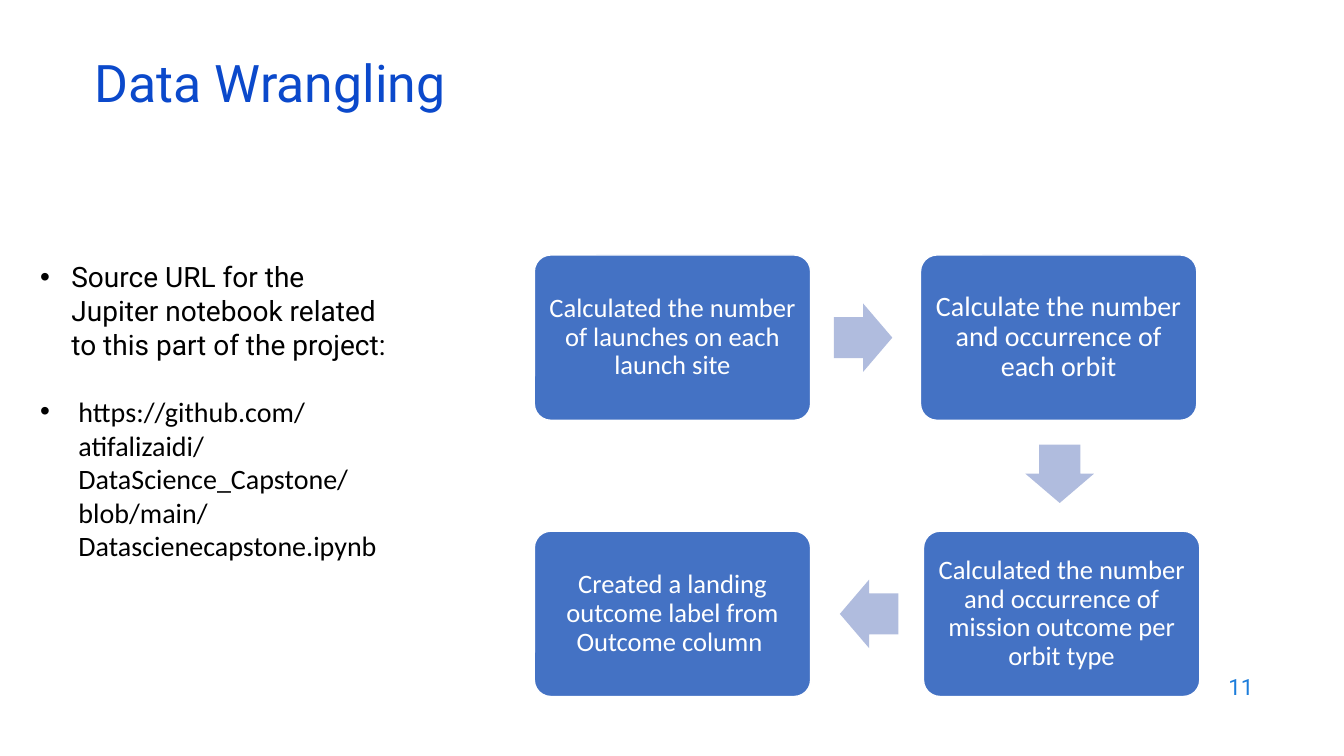
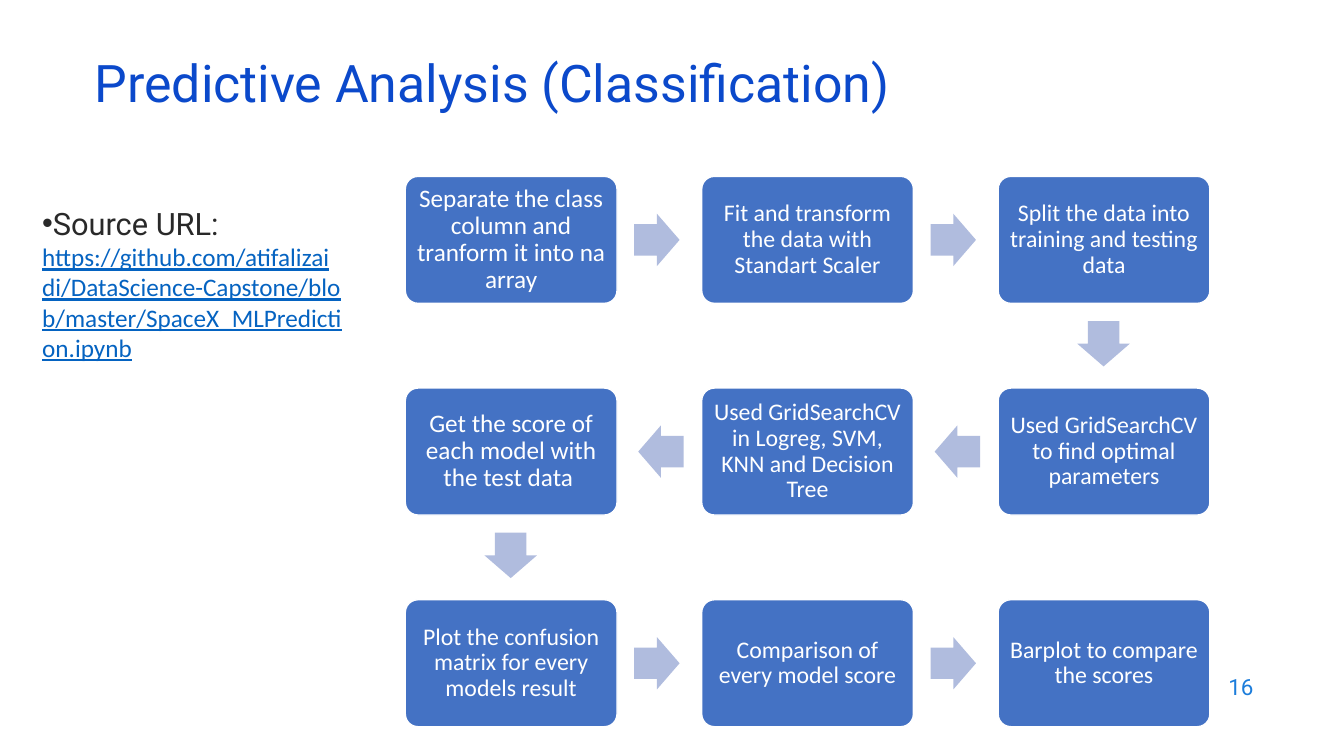
"""Build two process-flow slides that share a title style and a page number."""
from dataclasses import dataclass
from typing import NamedTuple

from lxml.etree import SubElement
from pptx import Presentation
from pptx.dml.color import RGBColor as Rgb
from pptx.enum.shapes import MSO_SHAPE as Shape
from pptx.enum.text import MSO_ANCHOR as Anchor, MSO_AUTO_SIZE as AutoSize, PP_ALIGN as Align
from pptx.oxml.ns import qn
from pptx.util import Emu, Pt

PX = 9144


class Style(NamedTuple):
    font: str
    size: int
    color: str
    underline: bool = False


@dataclass(frozen=True)
class Theme:
    box: str = "4472C4"
    arrow: str = "B0BCDE"
    outline: str = "FFFFFF"
    title: Style = Style("Roboto", 37, "0B49CB")
    number: Style = Style("Roboto", 16, "1C7DDB")
    body: Style = Style("Roboto", 20, "000000")
    address: Style = Style("Calibri", 20, "000000")
    heading: Style = Style("Roboto", 22, "292929")
    link: Style = Style("Calibri", 18, "0563C1", True)
    step_font: str = "Calibri"
    step_color: str = "FFFFFF"


THEME = Theme()


class Rect(NamedTuple):
    left: int
    top: int
    width: int
    height: int


TITLE_AREA = Rect(84, 59, 1150, 60)
NUMBER_AREA = Rect(953, 659, 300, 44)


class Line(NamedTuple):
    text: str
    style: Style


@dataclass(frozen=True)
class Bullet:
    lines: list[Line]
    hang: int = 0
    before: int = 0


class Step(NamedTuple):
    text: str
    size: int
    shift: int = 0


@dataclass(frozen=True)
class Flow:
    """A grid of steps read back and forth, row by row."""
    first: Rect
    pitch: tuple[int, int]
    arrow: tuple[int, int]
    columns: int
    inset: int
    steps: list[Step]

    def cell(self, index: int) -> Rect:
        row, col = divmod(index, self.columns)
        if row % 2:
            col = self.columns - 1 - col
        x, y, w, h = self.first
        return Rect(x + col * self.pitch[0] + self.steps[index].shift, y + row * self.pitch[1], w, h)


@dataclass(frozen=True)
class Page:
    title: str
    number: int
    body_area: Rect
    bullets: list[Bullet]
    flow: Flow


def emu(rect: Rect) -> list[Emu]:
    return [Emu(v * PX) for v in rect]


def add_run(p, text: str, style: Style) -> None:
    r = p.add_run()
    r.text = text
    r.font.name, r.font.size = style.font, Pt(style.size)
    r.font.color.rgb = Rgb.from_string(style.color)
    if style.underline:
        r.font.underline = True


def add_text_box(slide, rect: Rect):
    tf = slide.shapes.add_textbox(*emu(rect)).text_frame
    tf.word_wrap = True
    return tf


def add_title(slide, text: str) -> None:
    sp = slide.shapes.title
    sp.left, sp.top, sp.width, sp.height = emu(TITLE_AREA)
    tf = sp.text_frame
    tf.auto_size, tf.vertical_anchor = AutoSize.NONE, Anchor.MIDDLE
    p = tf.paragraphs[0]
    p.alignment, p.line_spacing = Align.LEFT, 0.7
    add_run(p, text, THEME.title)


def add_number(slide, number: int) -> None:
    tf = add_text_box(slide, NUMBER_AREA)
    tf.vertical_anchor = Anchor.MIDDLE
    p = tf.paragraphs[0]
    p.alignment = Align.RIGHT
    add_run(p, str(number), THEME.number)


def add_bullets(slide, rect: Rect, bullets: list[Bullet]) -> None:
    tf = add_text_box(slide, rect)
    for i, bullet in enumerate(bullets):
        p = tf.add_paragraph() if i else tf.paragraphs[0]
        if bullet.before:
            p.space_before = Pt(bullet.before)
        ppr = p._p.get_or_add_pPr()
        ppr.set("marL", str(bullet.hang * PX))
        ppr.set("indent", str(-bullet.hang * PX))
        SubElement(ppr, qn("a:buFont"), typeface="Arial")
        SubElement(ppr, qn("a:buChar"), char="•")
        for j, line in enumerate(bullet.lines):
            if j:
                p.add_line_break()
            add_run(p, line.text, line.style)


def add_shape(slide, kind: Shape, rect: Rect, color: str, adjustments: list[float]):
    sp = slide.shapes.add_shape(kind, *emu(rect))
    sp.shadow.inherit = False
    sp.fill.solid()
    sp.fill.fore_color.rgb = Rgb.from_string(color)
    sp.line.fill.background()
    for i, value in enumerate(adjustments):
        sp.adjustments[i] = value
    return sp


def add_step(slide, rect: Rect, step: Step, inset: int) -> None:
    sp = add_shape(slide, Shape.ROUNDED_RECTANGLE, rect, THEME.box, [0.1])
    sp.line.color.rgb = Rgb.from_string(THEME.outline)
    sp.line.width = Pt(1)
    tf = sp.text_frame
    tf.word_wrap, tf.vertical_anchor = True, Anchor.MIDDLE
    tf.margin_left = tf.margin_right = tf.margin_top = tf.margin_bottom = Emu(inset * PX)
    p = tf.paragraphs[0]
    p.alignment, p.line_spacing = Align.CENTER, 0.9
    add_run(p, step.text, Style(THEME.step_font, step.size, THEME.step_color))


def add_arrow(slide, start: Rect, end: Rect, size: tuple[int, int]) -> None:
    """Put an arrow between two steps, 2 px nearer to the first."""
    w, h = size
    dx, dy = end.left - start.left, end.top - start.top
    down = dy > 0
    back = 0 if down else (2 if dx > 0 else -2)
    x = (start.left + end.left + start.width - w) // 2 - back
    y = (start.top + end.top + start.height - h) // 2 - (2 if down else 0)
    sp = add_shape(slide, Shape.RIGHT_ARROW, Rect(x, y, w, h), THEME.arrow, [0.6, 0.5])
    sp.rotation = 90 if down else (0 if dx > 0 else 180)


def add_flow(slide, flow: Flow) -> None:
    cells = [flow.cell(i) for i in range(len(flow.steps))]
    for cell, step in zip(cells, flow.steps):
        add_step(slide, cell, step, flow.inset)
    for start, end in zip(cells, cells[1:]):
        add_arrow(slide, start, end, flow.arrow)


PAGES = [
    Page("Data Wrangling", 11, Rect(30, 253, 373, 313), [
        Bullet([Line("Source URL for the Jupiter notebook related to this part of the project:", THEME.body)], 31),
        Bullet([Line("https://github.com/atifalizaidi/DataScience_Capstone/blob/main/Datascienecapstone.ipynb",
                     THEME.address)], 38, 24),
    ], Flow(Rect(530, 253, 274, 164), (383, 274), (58, 68), 2, 8, [
        Step("Calculated the number of launches on each launch site", 19),
        Step("Calculate the number and occurrence of each orbit", 20),
        Step("Calculated the number and occurrence of mission outcome per orbit type", 19, 3),
        Step("Created a landing outcome label from Outcome column ", 19),
    ])),
    Page("Predictive Analysis (Classification)", 16, Rect(32, 198, 317, 476), [
        Bullet([
            Line("Source URL:", THEME.heading),
            Line("https://github.com/atifalizai", THEME.link),
            Line("di/DataScience-Capstone/blo", THEME.link),
            Line("b/master/SpaceX_MLPredicti", THEME.link),
            Line("on.ipynb", THEME.link),
        ]),
    ], Flow(Rect(402, 175, 210, 126), (294, 210), (45, 52), 3, 7, [
        Step("Separate the class column and tranform it into na array", 18),
        Step("Fit and transform the data with Standart Scaler", 17),
        Step("Split the data into training and testing data", 17),
        Step("Used GridSearchCV to find optimal parameters", 17),
        Step("Used GridSearchCV in Logreg, SVM, KNN and Decision Tree", 17),
        Step("Get the score of each model with the test data ", 18),
        Step("Plot the confusion matrix for every models result", 17),
        Step("Comparison of every model score", 17),
        Step("Barplot to compare the scores", 17),
    ])),
]


def main() -> None:
    prs = Presentation()
    prs.slide_width, prs.slide_height = Emu(1333 * PX), Emu(750 * PX)
    for page in PAGES:
        slide = prs.slides.add_slide(prs.slide_layouts[5])
        add_title(slide, page.title)
        add_number(slide, page.number)
        add_bullets(slide, page.body_area, page.bullets)
        add_flow(slide, page.flow)
    prs.save("out.pptx")


if __name__ == "__main__":
    main()
